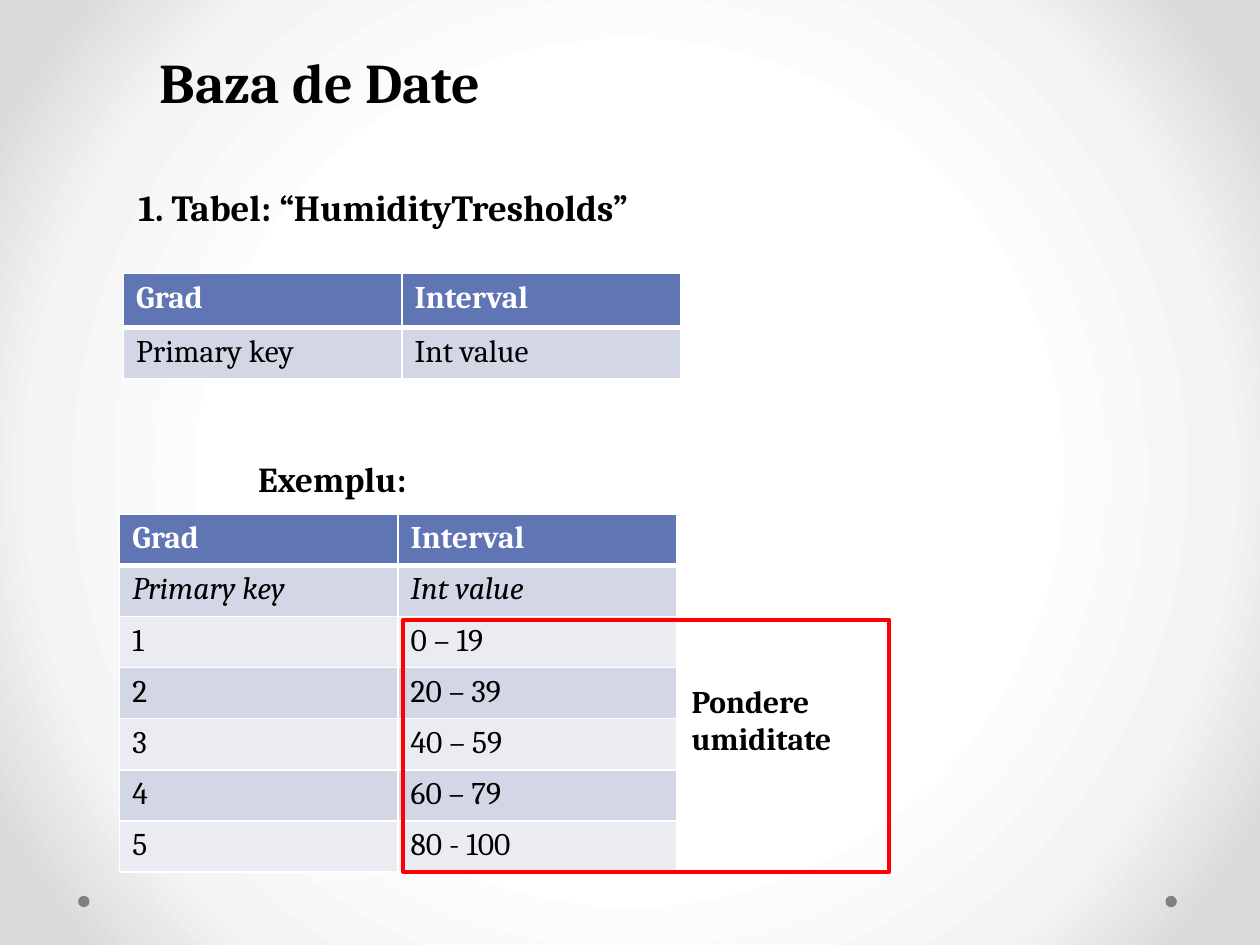
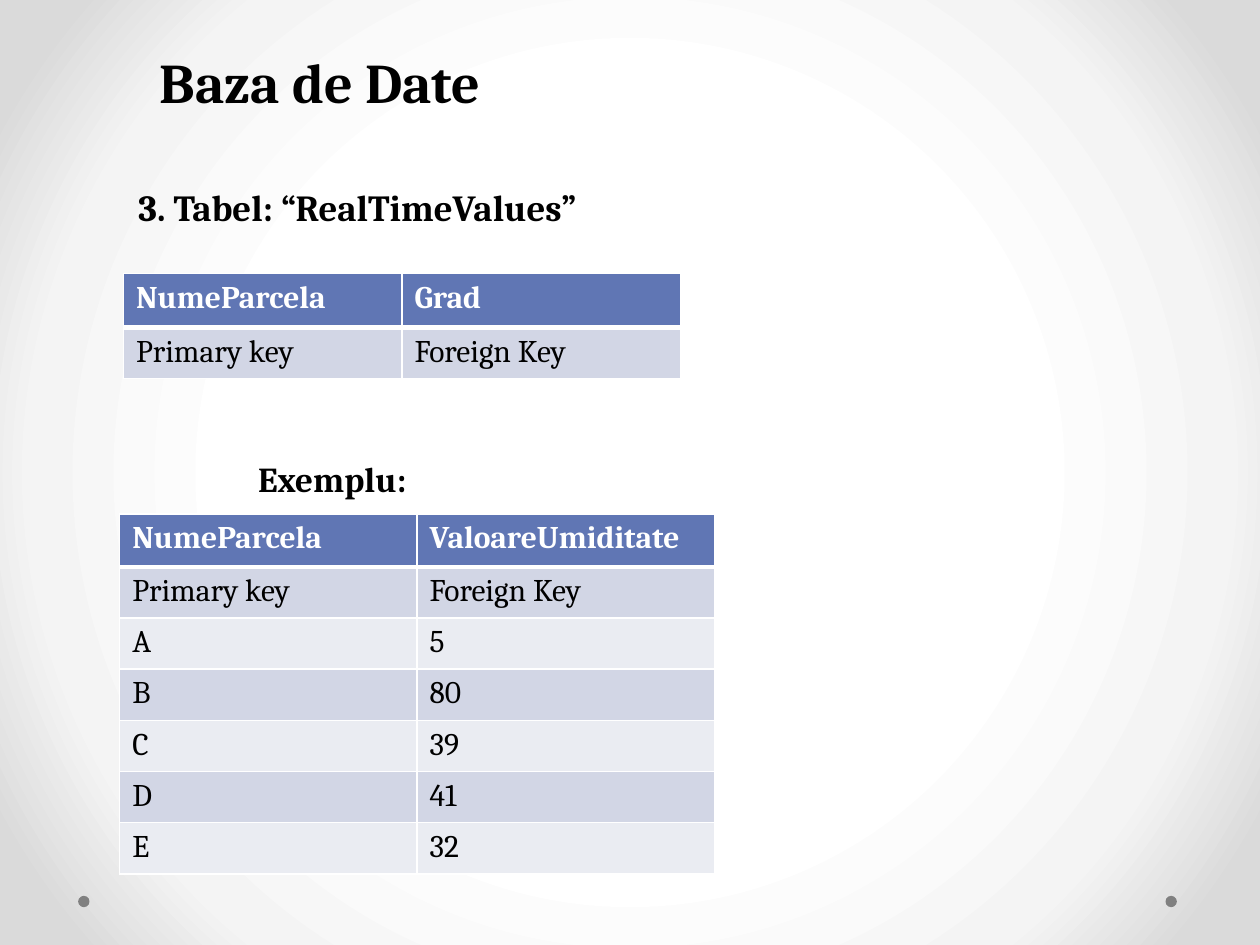
from dataclasses import dataclass
from typing import NamedTuple

from pptx import Presentation
from pptx.dml.color import RGBColor
from pptx.enum.shapes import MSO_SHAPE as Preset
from pptx.enum.text import MSO_AUTO_SIZE as AutoSize
from pptx.oxml import parse_xml
from pptx.oxml.ns import nsdecls, qn
from pptx.slide import Slide
from pptx.table import _Cell as Cell
from pptx.text.text import TextFrame
from pptx.util import Inches, Pt

BLACK = RGBColor(0x00, 0x00, 0x00)
WHITE = RGBColor(0xFF, 0xFF, 0xFF)
RED = RGBColor(0xFF, 0x00, 0x00)
GREY = RGBColor(0x80, 0x80, 0x80)
HEADER_BLUE = RGBColor(0x60, 0x76, 0xB4)
BAND_DARK = RGBColor(0xD2, 0xD6, 0xE5)
BAND_LIGHT = RGBColor(0xEA, 0xEC, 0xF2)
GLOW_MIDDLE = RGBColor(0xF4, 0xF4, 0xF4)
GLOW_EDGE = RGBColor(0xDA, 0xDA, 0xDA)
GLOW = ((50, WHITE), (76, GLOW_MIDDLE), (92, GLOW_EDGE))

FONT = "Cambria"
COLUMNS, ROWS = 100, 75
SLIDE_WIDTH, SLIDE_HEIGHT = Inches(10), Inches(7.5)
ROW_HEIGHT = 4.06


class Box(NamedTuple):
    left: float
    top: float
    width: float
    height: float

    def emu(self) -> tuple[int, int, int, int]:
        return (across(self.left), down(self.top),
                across(self.width), down(self.height))


@dataclass
class Grid:
    rows: list[tuple[str, str]]
    left: float
    top: float
    column_width: float = 22.1
    header_height: float = ROW_HEIGHT
    italic_keys: bool = False


@dataclass
class Topic:
    heading: str
    schema: Grid
    example: Grid
    range_note: str = ""


TITLE_BOX = Box(11.7, 3.3, 35, 6.4)
HEADING_BOX = Box(10, 14.2, 48.9, 4.5)
EXAMPLE_BOX = Box(19.5, 35.8, 20, 4.4)
RANGE_BOX = Box(32, 49.2, 38.6, 20)
NOTE_BOX = Box(53.9, 53.6, 16.7, 7.1)
DOT_BOXES = [Box(left, 71.1, 0.9, 0.9) for left in (6.2, 92.5)]


def across(columns: float) -> int:
    return round(SLIDE_WIDTH * columns / COLUMNS)


def down(rows: float) -> int:
    return round(SLIDE_HEIGHT * rows / ROWS)


def write(frame: TextFrame, text: str, *, size: float = 18, bold: bool = True,
          italic: bool = False, color: RGBColor = BLACK) -> None:
    for number, line in enumerate(text.split("\n")):
        paragraph = frame.add_paragraph() if number else frame.paragraphs[0]
        run = paragraph.add_run()
        run.text = line
        run.font.name = FONT
        run.font.size = Pt(size)
        run.font.bold = bold
        run.font.italic = italic
        run.font.color.rgb = color


def add_label(slide: Slide, box: Box, text: str, size: float) -> None:
    frame = slide.shapes.add_textbox(*box.emu()).text_frame
    frame.word_wrap = True
    frame.auto_size = AutoSize.SHAPE_TO_FIT_TEXT
    write(frame, text, size=size)


def add_dot(slide: Slide, box: Box) -> None:
    dot = slide.shapes.add_shape(Preset.OVAL, *box.emu())
    dot.shadow.inherit = False
    dot.fill.solid()
    dot.fill.fore_color.rgb = GREY
    dot.line.fill.background()


def add_range_frame(slide: Slide) -> None:
    outline = slide.shapes.add_shape(Preset.RECTANGLE, *RANGE_BOX.emu())
    outline.shadow.inherit = False
    outline.fill.background()
    outline.line.color.rgb = RED
    outline.line.width = Pt(2.25)


def set_borders(cell: Cell, bottom: float) -> None:
    properties = cell._tc.get_or_add_tcPr()
    for side, width in (("L", 1), ("R", 1), ("T", 1), ("B", bottom)):
        properties.append(parse_xml(
            f'<a:ln{side} {nsdecls("a")} w="{Pt(width)}"><a:solidFill>'
            f'<a:srgbClr val="{WHITE}"/></a:solidFill></a:ln{side}>'))


def add_grid(slide: Slide, grid: Grid) -> None:
    heights = [grid.header_height] + [ROW_HEIGHT] * (len(grid.rows) - 1)
    box = Box(grid.left, grid.top, 2 * grid.column_width, sum(heights))
    table = slide.shapes.add_table(len(heights), 2, *box.emu()).table
    for column in table.columns:
        column.width = across(grid.column_width)
    for index, (values, height) in enumerate(zip(grid.rows, heights)):
        table.rows[index].height = down(height)
        header = index == 0
        band = BAND_DARK if index % 2 else BAND_LIGHT
        for position, value in enumerate(values):
            cell = table.cell(index, position)
            set_borders(cell, bottom=3 if header else 1)
            cell.fill.solid()
            cell.fill.fore_color.rgb = HEADER_BLUE if header else band
            write(cell.text_frame, value, bold=header,
                  italic=grid.italic_keys and index == 1,
                  color=WHITE if header else BLACK)


def set_background(slide: Slide) -> None:
    fill = slide.background.fill
    fill.gradient()
    stops = "".join(
        f'<a:gs pos="{share * 1000}"><a:srgbClr val="{color}"/></a:gs>'
        for share, color in GLOW)
    glow = parse_xml(
        f'<a:gradFill {nsdecls("a")} rotWithShape="1"><a:gsLst>{stops}</a:gsLst>'
        '<a:path path="circle"><a:fillToRect l="50000" t="50000" r="50000" '
        'b="50000"/></a:path></a:gradFill>')
    linear = next(slide.element.iter(qn("a:gradFill")))
    linear.getparent().replace(linear, glow)


def add_topic(slide: Slide, topic: Topic) -> None:
    set_background(slide)
    for box in DOT_BOXES:
        add_dot(slide, box)
    add_label(slide, TITLE_BOX, "Baza de Date", 32)
    add_grid(slide, topic.schema)
    add_grid(slide, topic.example)
    if topic.range_note:
        add_range_frame(slide)
        add_label(slide, NOTE_BOX, topic.range_note, 18)
    add_label(slide, EXAMPLE_BOX, "Exemplu:", 20)
    add_label(slide, HEADING_BOX, topic.heading, 21)


def schema_grid(*rows: tuple[str, str]) -> Grid:
    return Grid(list(rows), 9.8, 21.7, header_height=4.3)


TOPICS = [
    Topic(
        "1. Tabel: “HumidityTresholds”",
        schema_grid(("Grad", "Interval"), ("Primary key", "Int value")),
        Grid([("Grad", "Interval"), ("Primary key", "Int value"),
              ("1", "0 – 19"), ("2", "20 – 39"), ("3", "40 – 59"),
              ("4", "60 – 79"), ("5", "80 - 100")],
             9.5, 40.8, italic_keys=True),
        range_note="Pondere\numiditate"),
    Topic(
        "3. Tabel: “RealTimeValues”",
        schema_grid(("NumeParcela", "Grad"), ("Primary key", "Foreign Key")),
        Grid([("NumeParcela", "ValoareUmiditate"),
              ("Primary key", "Foreign Key"), ("A", "5"), ("B", "80"),
              ("C", "39"), ("D", "41"), ("E", "32")],
             9.5, 40.8, column_width=23.6, header_height=4.2)),
]


def main() -> None:
    deck = Presentation()
    deck.slide_width, deck.slide_height = SLIDE_WIDTH, SLIDE_HEIGHT
    for topic in TOPICS:
        add_topic(deck.slides.add_slide(deck.slide_layouts[6]), topic)
    deck.save("out.pptx")


main()
